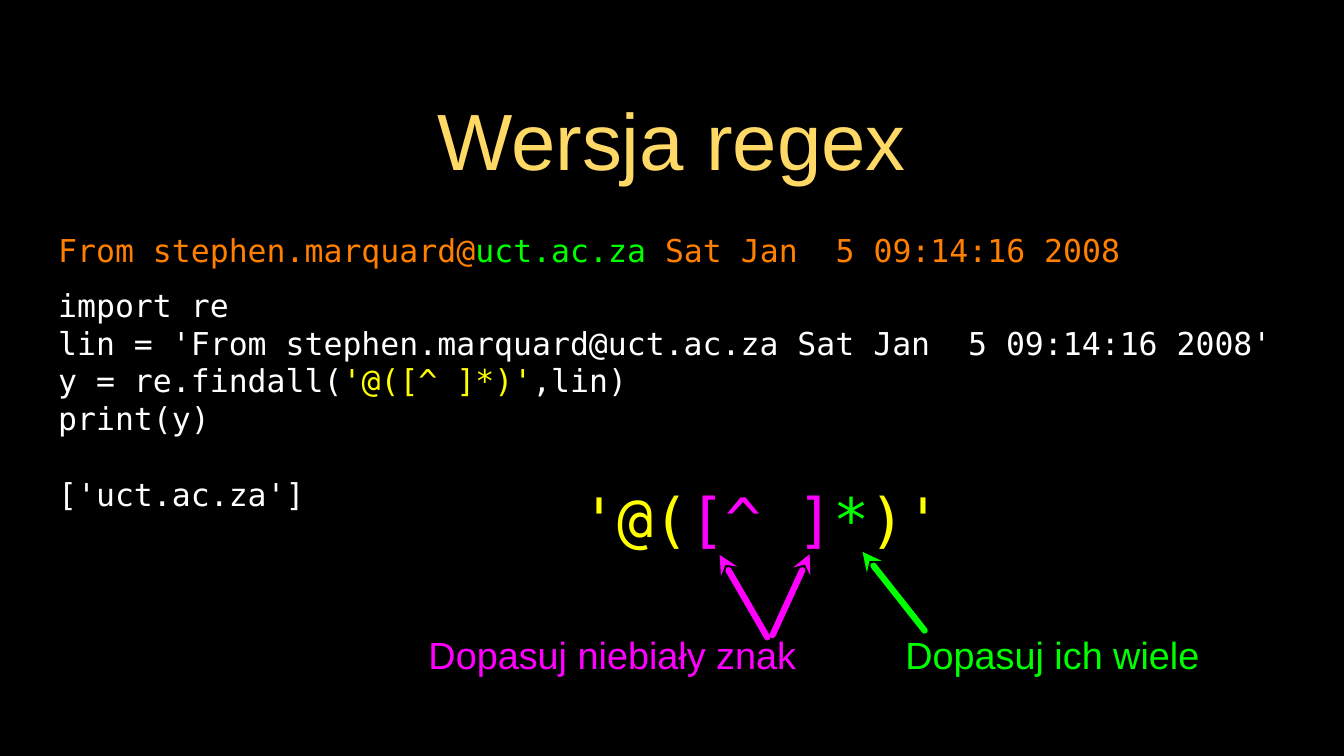
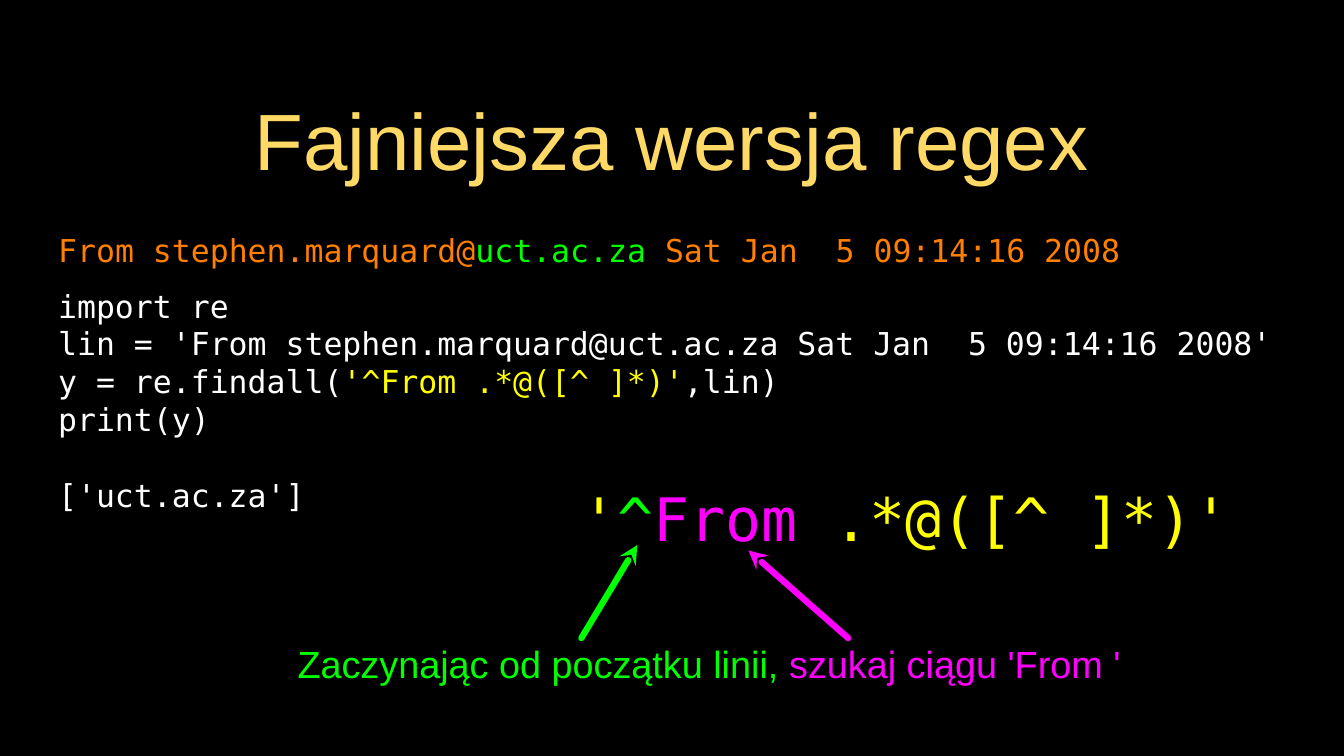
from dataclasses import dataclass

from lxml.etree import SubElement
from pptx import Presentation
from pptx.dml.color import RGBColor
from pptx.enum.shapes import MSO_CONNECTOR
from pptx.enum.text import MSO_ANCHOR, PP_ALIGN
from pptx.oxml.ns import qn
from pptx.slide import Slide
from pptx.util import Pt

BLACK = RGBColor(0x00, 0x00, 0x00)
WHITE = RGBColor(0xFF, 0xFF, 0xFF)
GOLD = RGBColor(0xFF, 0xD9, 0x66)
ORANGE = RGBColor(0xFF, 0x7F, 0x00)
YELLOW = RGBColor(0xFF, 0xFF, 0x00)
GREEN = RGBColor(0x00, 0xFF, 0x00)
MAGENTA = RGBColor(0xFF, 0x00, 0xFF)


@dataclass(frozen=True)
class Style:
    font: str
    size: float
    align: PP_ALIGN = PP_ALIGN.LEFT
    inset: float = 0


TITLE = Style("Arial", 76, PP_ALIGN.CENTER, 3)
CAPTION = Style("Arial", 36, PP_ALIGN.CENTER)
CODE = Style("DejaVu Sans Mono", 30)
PATTERN = Style("DejaVu Sans Mono", 57)


@dataclass(frozen=True)
class Area:
    left: float
    top: float
    width: float
    height: float


@dataclass(frozen=True)
class Span:
    text: str
    color: RGBColor


@dataclass(frozen=True)
class Line:
    spans: list[Span]
    space_before: float = 0


@dataclass(frozen=True)
class Caption:
    area: Area
    spans: list[Span]


@dataclass(frozen=True)
class Arrow:
    tip: tuple[float, float]
    tail: tuple[float, float]
    color: RGBColor


@dataclass(frozen=True)
class RegexPage:
    title: str
    pattern: list[Span]
    pattern_width: float
    code_area: Area
    captions: list[Caption]
    arrows: list[Arrow]


TITLE_AREA = Area(91, 64, 1097, 136)
MAIL_AREA = Area(55.4, 211.7, 1120, 53.3)
PATTERN_LEFT, PATTERN_TOP, PATTERN_HEIGHT = 553.7, 458.6, 69.1
OUTPUT_GAP = 36

MAIL_START, MAIL_HOST, MAIL_DATE = (
    "From stephen.marquard@", "uct.ac.za", " Sat Jan  5 09:14:16 2008")
MAIL_SPANS = [Span(MAIL_START, ORANGE), Span(MAIL_HOST, GREEN), Span(MAIL_DATE, ORANGE)]

PAGES = [
    RegexPage(
        title="Wersja regex",
        pattern=[Span("'@(", YELLOW), Span("[^ ]", MAGENTA), Span("*", GREEN), Span(")'", YELLOW)],
        pattern_width=345.6,
        code_area=Area(55.4, 277.9, 1175, 204.5),
        captions=[
            Caption(Area(342, 598.3, 482.4, 49), [Span("Dopasuj niebiały znak", MAGENTA)]),
            Caption(Area(808.6, 598.3, 387.4, 49), [Span("Dopasuj ich wiele", GREEN)]),
        ],
        arrows=[
            Arrow((685.4, 528.5), (730.8, 607), MAGENTA),
            Arrow((821.5, 525.6), (880.6, 600.5), GREEN),
            Arrow((771.1, 527.8), (735.8, 604.8), MAGENTA),
        ],
    ),
    RegexPage(
        title="Fajniejsza wersja regex",
        pattern=[Span("'", YELLOW), Span("^", GREEN), Span("From ", MAGENTA),
                 Span(".*@([^ ]*)'", YELLOW)],
        pattern_width=622,
        code_area=Area(55.4, 270, 1180, 221.8),
        captions=[
            Caption(Area(139.7, 607.7, 1081.4, 49),
                    [Span("Zaczynając od początku linii, ", GREEN),
                     Span("szukaj ciągu 'From ' ", MAGENTA)]),
        ],
        arrows=[
            Arrow((607, 519.1), (553.7, 607.7), GREEN),
            Arrow((712.8, 524.2), (807.8, 607.7), MAGENTA),
        ],
    ),
]


def add_text(slide: Slide, area: Area, lines: list[Line], style: Style) -> None:
    box = slide.shapes.add_textbox(Pt(area.left), Pt(area.top), Pt(area.width), Pt(area.height))
    frame = box.text_frame
    frame.word_wrap = True
    frame.vertical_anchor = MSO_ANCHOR.MIDDLE
    frame.margin_left = frame.margin_right = Pt(style.inset)
    frame.margin_top = frame.margin_bottom = Pt(style.inset)
    for index, line in enumerate(lines):
        para = frame.add_paragraph() if index else frame.paragraphs[0]
        para.alignment = style.align
        para.space_before = Pt(line.space_before)
        para.font.name = style.font
        para.font.size = Pt(style.size)
        one_color = len({span.color for span in line.spans}) == 1
        if one_color:
            para.font.color.rgb = line.spans[0].color
        for span in line.spans:
            run = para.add_run()
            run.text = span.text
            if not one_color:
                run.font.color.rgb = span.color


def add_arrow(slide: Slide, arrow: Arrow) -> None:
    connector = slide.shapes.add_connector(
        MSO_CONNECTOR.STRAIGHT, *(Pt(value) for value in arrow.tip + arrow.tail))
    connector.line.color.rgb = arrow.color
    connector.line.width = Pt(6)
    properties = connector.element.spPr
    outline = properties.find(qn("a:ln"))
    outline.set("cap", "rnd")
    SubElement(outline, qn("a:headEnd"), type="stealth")
    SubElement(properties, qn("a:effectLst"))


def code_lines(pattern: list[Span]) -> list[Line]:
    pattern_text = "".join(span.text for span in pattern)
    return [
        Line([Span("import re", WHITE)]),
        Line([Span(f"lin = '{MAIL_START}{MAIL_HOST}{MAIL_DATE}'", WHITE)]),
        Line([Span("y = re.findall(", WHITE), Span(pattern_text, YELLOW), Span(",lin)", WHITE)]),
        Line([Span("print(y)", WHITE)]),
        Line([Span(f"['{MAIL_HOST}']", WHITE)], OUTPUT_GAP),
    ]


def add_regex_page(slide: Slide, page: RegexPage) -> None:
    add_text(slide, TITLE_AREA, [Line([Span(page.title, GOLD)])], TITLE)
    pattern_area = Area(PATTERN_LEFT, PATTERN_TOP, page.pattern_width, PATTERN_HEIGHT)
    add_text(slide, pattern_area, [Line(page.pattern)], PATTERN)
    for caption in page.captions:
        add_text(slide, caption.area, [Line(caption.spans)], CAPTION)
    for arrow in page.arrows:
        add_arrow(slide, arrow)
    add_text(slide, MAIL_AREA, [Line(MAIL_SPANS)], CODE)
    add_text(slide, page.code_area, code_lines(page.pattern), CODE)


def main() -> None:
    deck = Presentation()
    deck.slide_width, deck.slide_height = Pt(1280), Pt(720)
    background = deck.slide_master.background.fill
    background.solid()
    background.fore_color.rgb = BLACK
    blank_layout = deck.slide_layouts[6]
    for page in PAGES:
        add_regex_page(deck.slides.add_slide(blank_layout), page)
    deck.save("out.pptx")


if __name__ == "__main__":
    main()
